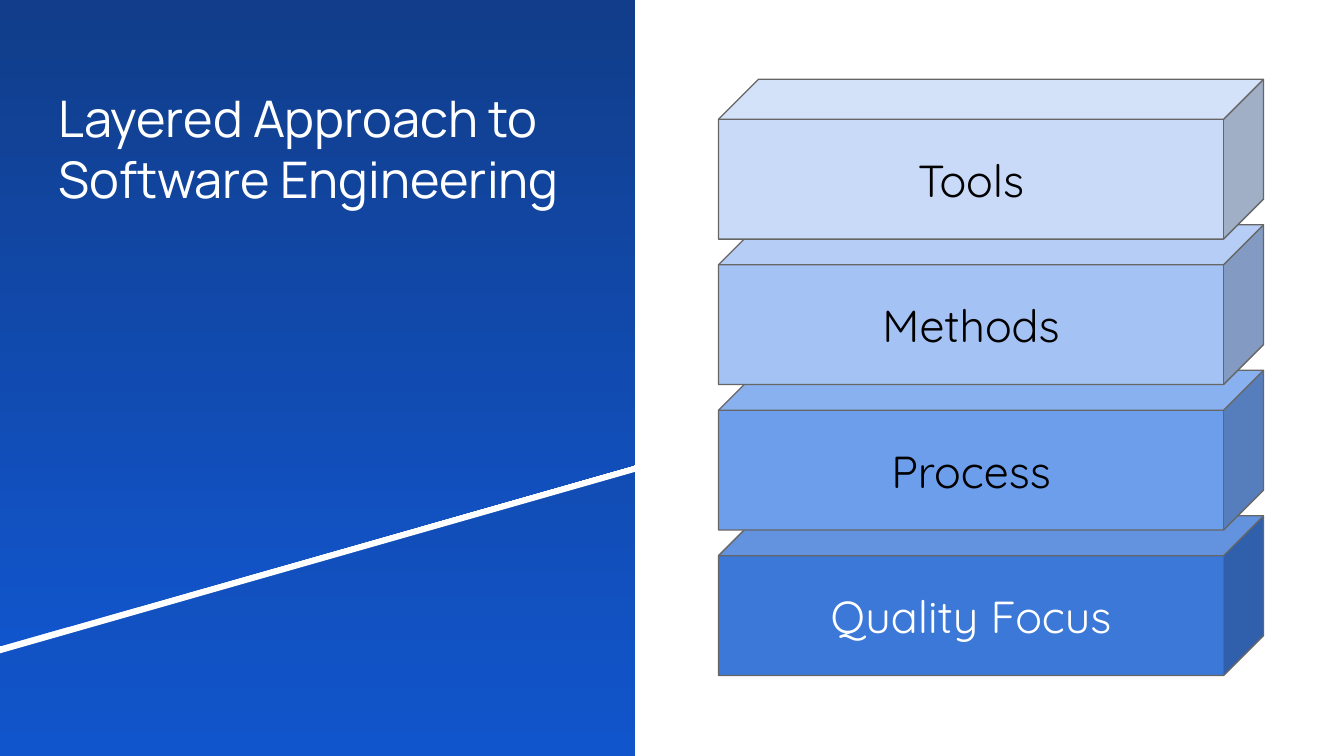
from lxml import etree
from pptx import Presentation
from pptx.dml.color import RGBColor
from pptx.enum.shapes import MSO_SHAPE as Preset
from pptx.enum.text import MSO_ANCHOR as Anchor, PP_ALIGN as Align
from pptx.util import Cm, Pt

WHITE = RGBColor(0xFF, 0xFF, 0xFF)
BLACK = RGBColor(0x00, 0x00, 0x00)
OUTLINE = RGBColor(0x66, 0x66, 0x66)
BRIGHT_BLUE = RGBColor(0x11, 0x55, 0xCC)
DEEP_BLUE = RGBColor(0x11, 0x3D, 0x8A)

# Name, fill and text colour, from the bottom layer up
LAYERS = [
    ("Quality Focus", RGBColor(0x3C, 0x78, 0xD8), WHITE),
    ("Process", RGBColor(0x6D, 0x9E, 0xEB), BLACK),
    ("Methods", RGBColor(0xA4, 0xC2, 0xF4), BLACK),
    ("Tools", RGBColor(0xC9, 0xDA, 0xF8), BLACK),
]


def write_text(shape, text, font, size, color, align=Align.LEFT, anchor=Anchor.TOP):
    frame = shape.text_frame
    frame.word_wrap = True
    frame.vertical_anchor = anchor
    frame.margin_left = frame.margin_right = Cm(0.25)
    frame.margin_top = frame.margin_bottom = Cm(0.25)
    para = frame.paragraphs[0]
    para.alignment = align
    span = para.add_run()
    span.text = text
    span.font.name = font
    span.font.size = Pt(size)
    span.font.color.rgb = color


def fill_gradient(shape):
    """Shade the shape from bright blue at the bottom to deep blue at the top."""
    shape.fill.gradient()
    shape.fill.gradient_angle = 90
    for stop, color in zip(shape.fill.gradient_stops, (BRIGHT_BLUE, DEEP_BLUE)):
        stop.color.rgb = color


def remove_edge(shape):
    shape.shadow.inherit = False
    shape.line.fill.background()


def add_slope(page, left, top, width, right_height, left_height):
    """Add an area with a straight top and a bottom edge that rises to the right."""
    builder = page.shapes.build_freeform(Cm(left), Cm(top))
    builder.add_line_segments([
        (Cm(left + width), Cm(top)),
        (Cm(left + width), Cm(top + right_height)),
        (Cm(left), Cm(top + left_height)),
    ])
    slope = builder.convert_to_shape()
    remove_edge(slope)
    return slope


def add_title_panel(page, left, top, width, height):
    panel = page.shapes.add_shape(Preset.RECTANGLE, Cm(left), Cm(top), Cm(width), Cm(height))
    remove_edge(panel)
    fill_gradient(panel)

    stripe_width = 0.13
    right_height, left_height = 8.79, 12.22
    stripe = add_slope(page, left, top + stripe_width, width, right_height, left_height)
    stripe.fill.solid()
    stripe.fill.fore_color.rgb = WHITE
    fill_gradient(add_slope(page, left, top, width, right_height, left_height))

    title = page.shapes.add_textbox(Cm(left + 0.86), Cm(top + 1.4), Cm(10.29), Cm(6.96))
    write_text(title, "Layered Approach to Software Engineering", "Manrope", 27, WHITE)


def add_layer_stack(page, left, top, width, height):
    cube_height = 3.02
    step = (height - cube_height) / (len(LAYERS) - 1)
    for level, (name, fill_color, text_color) in enumerate(LAYERS):
        cube_top = top + height - cube_height - level * step
        cube = page.shapes.add_shape(
            Preset.CUBE, Cm(left), Cm(cube_top), Cm(width), Cm(cube_height))
        cube.adjustments[0] = 0.25
        cube.shadow.inherit = False
        cube.fill.solid()
        cube.fill.fore_color.rgb = fill_color
        cube.line.color.rgb = OUTLINE
        cube.line.width = Pt(0.75)
        write_text(cube, name, "Quicksand", 24, text_color,
                   align=Align.CENTER, anchor=Anchor.MIDDLE)


def main():
    deck = Presentation()
    deck.slide_width, deck.slide_height = Cm(25.4), Cm(14.29)
    page = deck.slides.add_slide(deck.slide_layouts[6])
    add_title_panel(page, 0, 0, 12, 14.29)
    add_layer_stack(page, 13.58, 1.5, 10.3, 11.27)
    deck.save("out.pptx")


if __name__ == "__main__":
    main()
